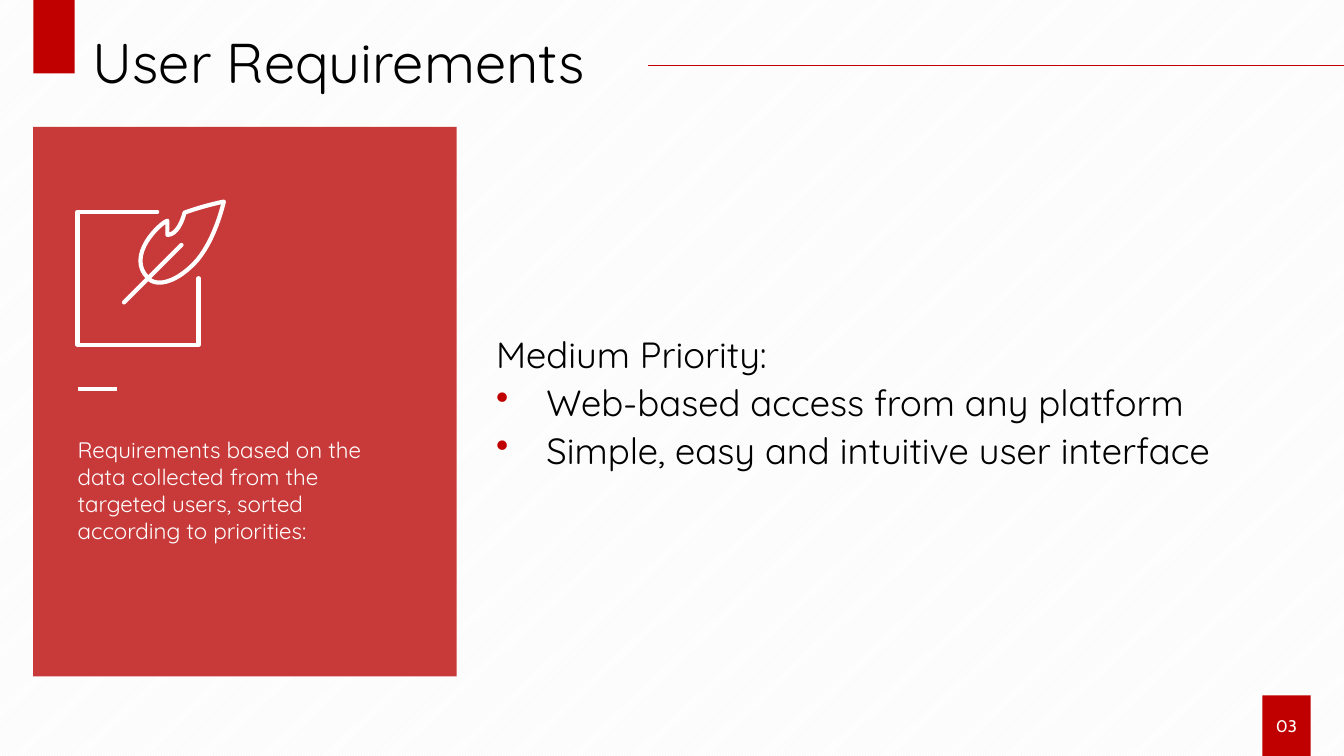
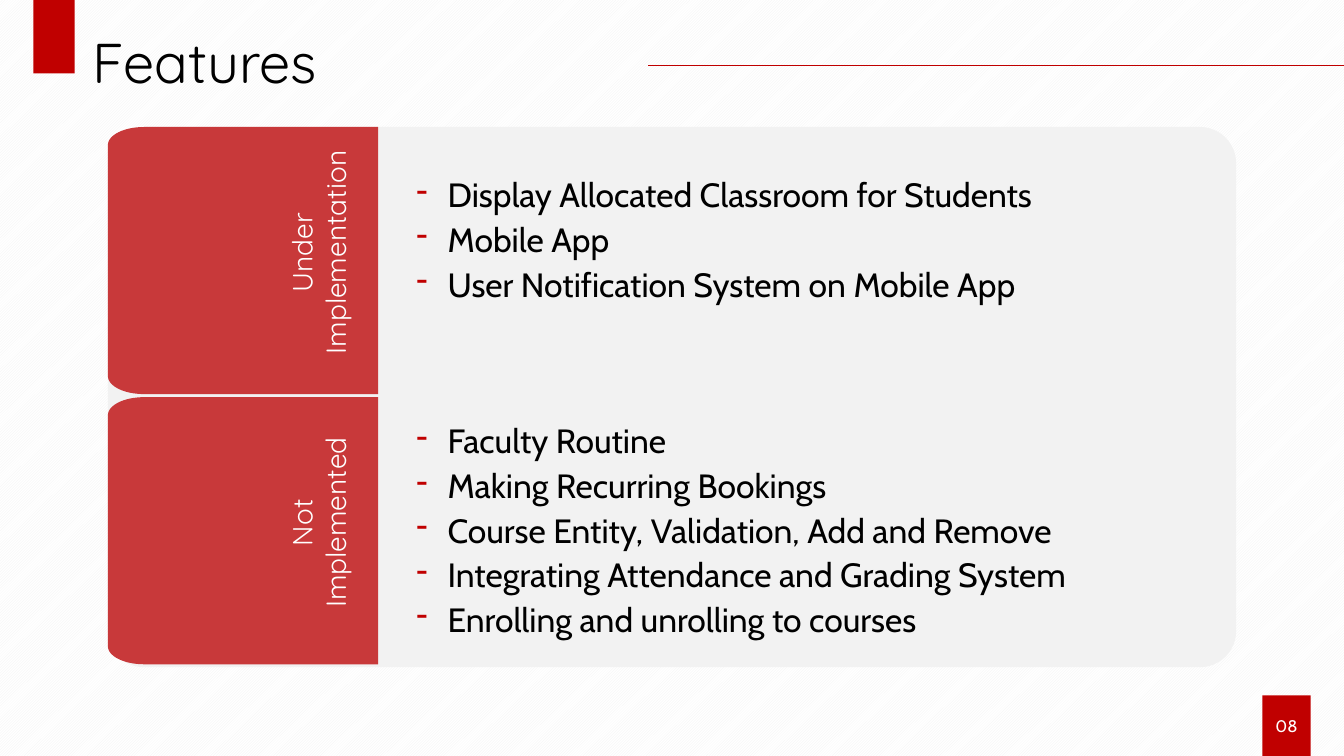
from lxml.etree import SubElement
from pptx import Presentation
from pptx.dml.color import RGBColor
from pptx.enum.dml import MSO_PATTERN
from pptx.enum.shapes import MSO_CONNECTOR, MSO_SHAPE
from pptx.enum.text import MSO_ANCHOR as ANCHOR, MSO_AUTO_SIZE, PP_ALIGN as ALIGN
from pptx.oxml.ns import qn
from pptx.util import Inches, Pt

RED = RGBColor(0xC0, 0x00, 0x00)
SOFT_RED = RGBColor(0xC8, 0x39, 0x3A)
PALE = RGBColor(0xF2, 0xF2, 0xF2)
WHITE = RGBColor(0xFF, 0xFF, 0xFF)
BLACK = RGBColor(0x00, 0x00, 0x00)
HEAD_FONT, BODY_FONT = "Quicksand", "Cabin"
SLIDE_W, SLIDE_H = 13.33, 7.5


def box(left, top, width, height):
    return [Inches(v) for v in (left, top, width, height)]


def add_bullet(p, char, indent):
    pPr = p._p.get_or_add_pPr()
    pPr.set("marL", str(Inches(indent)))
    pPr.set("indent", str(-Inches(indent)))
    color = SubElement(pPr, qn("a:buClr"))
    SubElement(color, qn("a:srgbClr"), val=str(RED))
    SubElement(pPr, qn("a:buChar"), char=char)


def write(tf, lines, size=24, color=BLACK, font=BODY_FONT, align=ALIGN.LEFT,
          anchor=ANCHOR.TOP, before=0, spacing=None, bullet=None, indent=0.31,
          first_bullet=0):
    """Fill a text frame, one paragraph per line; bullets start at first_bullet."""
    tf.word_wrap = True
    tf.auto_size = MSO_AUTO_SIZE.NONE
    tf.vertical_anchor = anchor
    tf.margin_left = tf.margin_right = tf.margin_top = tf.margin_bottom = 0
    for i, line in enumerate(lines):
        p = tf.add_paragraph() if i else tf.paragraphs[0]
        p.alignment, p.space_before, p.line_spacing = align, Pt(before), spacing
        if bullet and i >= first_bullet:
            add_bullet(p, bullet, indent)
        r = p.add_run()
        r.text = line
        r.font.size, r.font.name = Pt(size), font
        r.font.color.rgb = color


def trace(start, segments, steps=16):
    """Points of an outline: a segment is (end,) or (control, control, end)."""
    points = [start]
    for segment in segments:
        if len(segment) == 1:
            points.append(segment[0])
            continue
        a, (b, c, d) = points[-1], segment
        for k in range(1, steps + 1):
            t = k / steps
            u = 1 - t
            points.append(tuple(u**3 * a[n] + 3 * u * u * t * b[n]
                                + 3 * u * t * t * c[n] + t**3 * d[n] for n in (0, 1)))
    return points


class Deck:
    """Holds the shared style and the current slide."""

    def __init__(self):
        self.prs = Presentation()
        self.prs.slide_width, self.prs.slide_height = Inches(SLIDE_W), Inches(SLIDE_H)
        fill = self.prs.slide_master.background.fill
        fill.patterned()
        fill.pattern = MSO_PATTERN.DARK_UPWARD_DIAGONAL
        fill.fore_color.rgb, fill.back_color.rgb = PALE, WHITE

    def new_slide(self, title, number):
        self.s = self.prs.slides.add_slide(self.prs.slide_layouts[5])
        self.shapes = self.s.shapes
        sp = self.shapes.title
        sp.left, sp.top, sp.width, sp.height = box(0.92, 0.35, 11.5, 0.61)
        write(sp.text_frame, [title], size=40, font=HEAD_FONT, spacing=0.9)
        self.block(0.33, 0, 0.41, 0.73, RED)
        self.line((6.43, 0.65), (SLIDE_W, 0.65), RED, 0.5)
        badge = self.block(12.52, 6.9, 0.48, 0.6, RED)
        write(badge.text_frame, [number], size=12, color=WHITE,
              align=ALIGN.CENTER, anchor=ANCHOR.MIDDLE)

    def block(self, left, top, width, height, color, corner=None):
        kind = MSO_SHAPE.ROUNDED_RECTANGLE if corner else MSO_SHAPE.RECTANGLE
        sp = self.shapes.add_shape(kind, *box(left, top, width, height))
        if corner:
            sp.adjustments[0] = corner
        return self.paint(sp, color)

    def paint(self, sp, color):
        sp.shadow.inherit = False
        sp.fill.solid()
        sp.fill.fore_color.rgb = color
        sp.line.fill.background()
        return sp

    def text(self, left, top, width, height, lines, rotation=0, **style):
        sp = self.shapes.add_textbox(*box(left, top, width, height))
        sp.rotation = rotation
        write(sp.text_frame, lines, **style)

    def line(self, start, end, color, width, shapes=None):
        ends = [Inches(v) for v in (*start, *end)]
        sp = (shapes or self.shapes).add_connector(MSO_CONNECTOR.STRAIGHT, *ends)
        sp.line.color.rgb, sp.line.width = color, Pt(width)
        SubElement(sp._element.spPr, qn("a:effectLst"))
        return sp

    def outline(self, points, close=True, shapes=None):
        points = [(Inches(x), Inches(y)) for x, y in points]
        builder = (shapes or self.shapes).build_freeform(*points[0])
        builder.add_line_segments(points[1:], close=close)
        return builder.convert_to_shape()

    def quill_icon(self):
        shapes = self.shapes.add_group_shape().shapes
        page = [(1.97, 2.76), (1.97, 3.42), (0.77, 3.42), (0.77, 2.1), (1.56, 2.1)]
        feather = trace((1.66, 2.19), [
            ((1.59, 2.21), (1.24, 2.54), (1.47, 2.76)),
            ((1.54, 2.84), (1.72, 2.82), (1.92, 2.62)),
            ((2.13, 2.41), (2.22, 2), (2.22, 2)),
            ((2.22, 2), (2.02, 2.04), (1.83, 2.11)),
            ((1.83, 2.11), (1.78, 2.33), (1.66, 2.33)),
            ((1.66, 2.29), (1.66, 2.19), (1.66, 2.19))])
        strokes = [self.outline(page, False, shapes),
                   self.line((1.23, 3), (1.8, 2.43), WHITE, 3, shapes),
                   self.outline(feather, True, shapes)]
        for sp in strokes:
            sp.line.color.rgb, sp.line.width = WHITE, Pt(3)
            ln = sp.line._get_or_add_ln()
            ln.set("cap", "rnd")
            SubElement(ln, qn("a:round"))
        for sp in strokes[::2]:
            sp.shadow.inherit = False
            sp.fill.background()

    def tab(self, top, label):
        """Panel with rounded left corners and a label that reads upwards."""
        left, right, bottom = 1.07, 3.75, top + 2.65
        points = trace((1.43, top), [
            ((right, top),), ((right, bottom),), ((1.43, bottom),),
            ((1.23, bottom), (left, bottom - 0.08), (left, bottom - 0.18)),
            ((left, top + 0.18),),
            ((left, top + 0.08), (1.23, top), (1.43, top))])
        self.paint(self.outline(points), SOFT_RED)
        self.text(1.9, top + 0.86, 2.51, 0.77, label, rotation=270, size=20,
                  color=WHITE, font=HEAD_FONT, align=ALIGN.CENTER, anchor=ANCHOR.MIDDLE)


def requirements_slide(deck):
    deck.new_slide("User Requirements", "03")
    deck.block(0.33, 1.26, 4.2, 5.45, SOFT_RED)
    deck.quill_icon()
    deck.line((0.77, 3.86), (1.16, 3.86), WHITE, 2.5)
    deck.text(0.77, 4.33, 2.94, 1.1,
              ["Requirements based on the data collected from the targeted users, "
               "sorted according to priorities:"],
              size=16, color=WHITE, font=HEAD_FONT)
    deck.text(4.92, 1.17, 7.2, 5.63,
              ["Medium Priority:", "Web-based access from any platform",
               "Simple, easy and intuitive user interface"],
              size=26, font=HEAD_FONT, anchor=ANCHOR.MIDDLE, before=3,
              bullet="•", indent=0.5, first_bullet=1)


def features_slide(deck):
    deck.new_slide("Features", "08")
    deck.block(1.07, 1.26, 11.19, 5.36, PALE, corner=0.067)
    groups = [
        (["Under", "Implementation"], 1.73, 1.3,
         ["Display Allocated Classroom for Students", "Mobile App",
          "User Notification System on Mobile App"]),
        (["Not", "Implemented"], 4.17, 2.19,
         ["Faculty Routine", "Making Recurring Bookings",
          "Course Entity, Validation, Add and Remove",
          "Integrating Attendance and Grading System",
          "Enrolling and unrolling to courses"]),
    ]
    for i, (label, top, height, features) in enumerate(groups):
        deck.tab(1.26 + 2.68 * i, label)
        deck.text(4.13, top, 7.55, height, features, before=3, bullet="-")


def main():
    deck = Deck()
    requirements_slide(deck)
    features_slide(deck)
    deck.prs.save("out.pptx")


if __name__ == "__main__":
    main()
